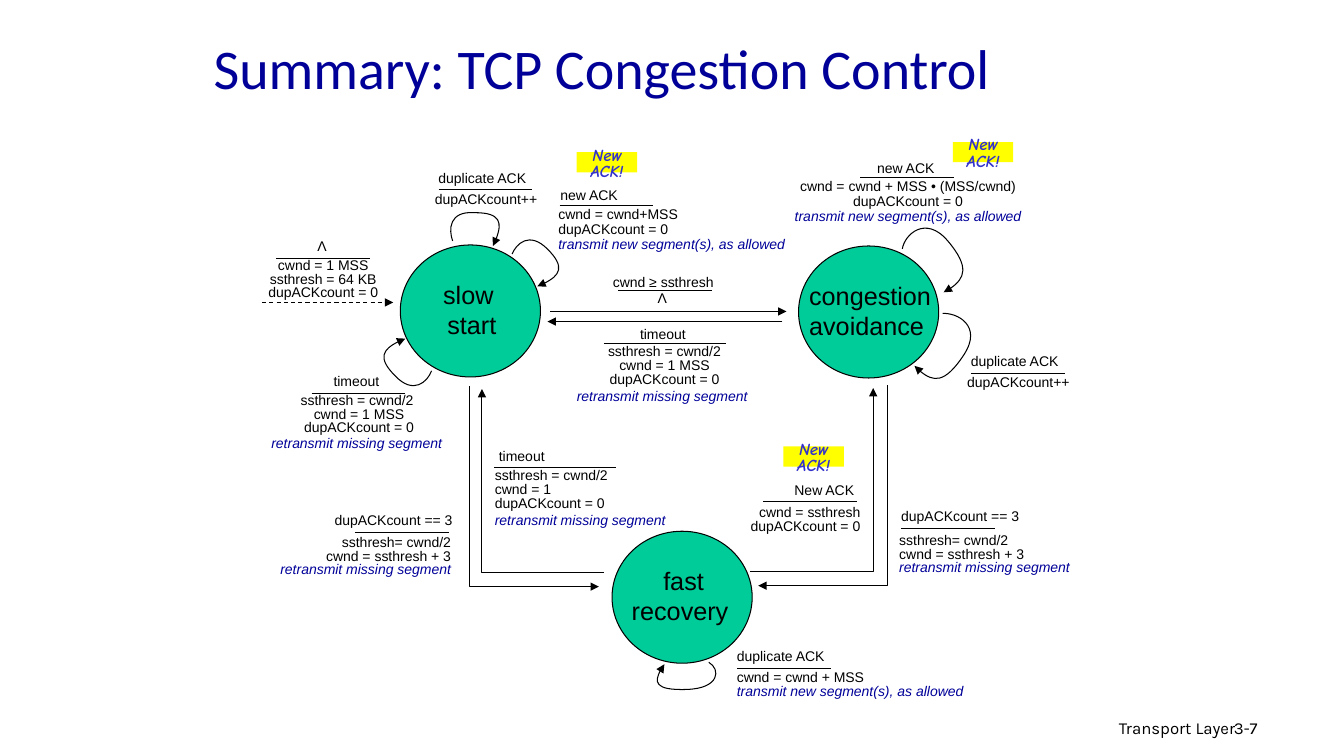
from dataclasses import dataclass

from lxml import etree
from pptx import Presentation
from pptx.dml.color import RGBColor
from pptx.enum.dml import MSO_LINE
from pptx.enum.shapes import MSO_CONNECTOR, MSO_SHAPE
from pptx.enum.text import MSO_ANCHOR, MSO_AUTO_SIZE, PP_ALIGN
from pptx.oxml.ns import qn
from pptx.util import Inches, Pt

BLACK, NAVY, BLUE = "000000", "000099", "3333CC"
GREEN, YELLOW = "00CC99", "FFFF00"
LEFT, CENTER, RIGHT = PP_ALIGN.LEFT, PP_ALIGN.CENTER, PP_ALIGN.RIGHT
Point = tuple[float, float]


@dataclass
class Label:
    text: str
    left: float
    top: float
    width: float
    height: float = 0.27
    align: PP_ALIGN = LEFT
    spacing: float = 1.0


@dataclass
class Rule:
    left: float
    top: float
    width: float = 0.93


@dataclass
class Arrow:
    points: list[Point]
    curved: bool = False


@dataclass
class Block:
    text: str
    left: float
    top: float


TIMEOUT = "ssthresh = cwnd/2\ncwnd = 1 MSS\ndupACKcount = 0\nretransmit missing segment "
TO_RECOVERY = "ssthresh= cwnd/2\ncwnd = ssthresh + 3\nretransmit missing segment"
TRANSMIT = "dupACKcount = 0\ntransmit new segment(s), as allowed"

STATES = [
    Block("congestion\navoidance ", 7.92, 2.44),
    Block("fast\nrecovery ", 6.07, 5.27),
    Block("slow \nstart", 3.97, 2.43),
]
NEW_ACK_TAGS = [Block("New\nACK!", *at) for at in ((7.77, 4.43), (5.72, 1.51), (9.45, 1.41))]

LABELS = [
    # Slow start: entry and self loops
    Label("Λ", 3.05, 2.31, 0.3),
    Label("cwnd = 1 MSS\nssthresh = 64 KB\ndupACKcount = 0", 2.56, 2.53, 1.29, 0.5, CENTER, 0.8),
    Label("duplicate ACK", 4.25, 1.63, 1.08),
    Label("dupACKcount++", 4.21, 1.87, 1.22, 0.39, CENTER, 0.8),
    Label("new ACK", 5.46, 1.8, 0.78),
    Label("cwnd = cwnd+MSS\n" + TRANSMIT, 5.44, 2.01, 2.47, 0.72, LEFT, 0.9),
    Label("timeout", 3.21, 3.65, 0.7),
    Label(TIMEOUT.replace("/2", "/2 "), 2.59, 3.87, 1.94, 0.66, CENTER, 0.8),
    # Slow start and congestion avoidance
    Label("cwnd ≥ ssthresh", 5.98, 2.66, 1.2),
    Label("Λ", 6.42, 2.86, 0.3, 0.23, CENTER, 0.8),
    Label("timeout", 6.25, 3.18, 0.7),
    Label(TIMEOUT, 5.62, 3.37, 1.94, 0.7, CENTER, 0.85),
    # Congestion avoidance self loops
    Label("new ACK", 8.6, 1.53, 0.78),
    Label("cwnd = cwnd + MSS • (MSS/cwnd)\n" + TRANSMIT, 7.77, 1.73, 2.47, 0.72, CENTER, 0.9),
    Label("duplicate ACK", 9.53, 3.45, 1.08),
    Label("dupACKcount++", 9.49, 3.69, 1.22, 0.39, CENTER, 0.8),
    # Slow start and fast recovery
    Label("dupACKcount == 3", 3.22, 5.03, 1.37),
    Label(TO_RECOVERY, 2.68, 5.28, 1.89, 0.66, RIGHT, 0.8),
    Label("timeout", 4.85, 4.39, 0.7),
    Label(TIMEOUT.replace(" MSS", ""), 4.81, 4.6, 1.94, 0.7, LEFT, 0.85),
    # Congestion avoidance and fast recovery
    Label("dupACKcount == 3", 8.84, 4.99, 1.37),
    Label(TO_RECOVERY, 8.82, 5.26, 1.89, 0.66, LEFT, 0.8),
    Label("New ACK", 7.77, 4.73, 0.8, align=RIGHT),
    Label("cwnd = ssthresh\ndupACKcount = 0", 7.34, 4.98, 1.29, 0.66, RIGHT, 0.8),
    # Fast recovery self loop
    Label("duplicate ACK", 7.21, 6.37, 1.08),
    Label("cwnd = cwnd + MSS\ntransmit new segment(s), as allowed", 7.21, 6.61, 2.45, 0.55, LEFT, 0.85),
]

RULES = [
    Rule(2.74, 2.56), Rule(4.35, 1.88), Rule(5.55, 2.04), Rule(3.09, 3.9),
    Rule(6.13, 2.88), Rule(5.99, 3.41, 1.21),
    Rule(8.53, 1.76), Rule(9.63, 3.71), Rule(3.52, 5.28), Rule(4.9, 4.64, 1.21),
    Rule(8.94, 5.24), Rule(7.57, 4.98), Rule(7.31, 6.63),
]

ARROWS = [
    # Transitions to and from fast recovery
    Arrow([(4.66, 3.83), (4.66, 5.82), (5.94, 5.82)]),
    Arrow([(5.99, 5.68), (4.78, 5.68), (4.78, 3.86)]),
    Arrow([(8.8, 3.82), (8.8, 5.81), (7.52, 5.81)]),
    Arrow([(7.44, 5.67), (8.66, 5.67), (8.66, 3.85)]),
    # Self loops: a start, then two control points and an end per curve
    Arrow([(4.49, 2.39), (4.45, 2.28), (4.45, 2.09), (4.71, 2.11),
           (4.97, 2.11), (4.99, 2.24), (4.89, 2.44)], True),
    Arrow([(5.08, 2.52), (5.12, 2.42), (5.25, 2.29), (5.43, 2.47),
           (5.61, 2.65), (5.54, 2.76), (5.33, 2.84)], True),
    Arrow([(4.28, 3.68), (4.24, 3.79), (4.1, 3.92), (3.92, 3.73),
           (3.74, 3.55), (3.81, 3.44), (4.02, 3.36)], True),
    Arrow([(8.95, 2.47), (8.97, 2.33), (9.18, 2.13), (9.4, 2.39),
           (9.62, 2.65), (9.56, 2.8), (9.36, 2.9)], True),
    Arrow([(9.35, 3.11), (9.49, 3.1), (9.75, 3.23), (9.56, 3.52),
           (9.37, 3.81), (9.22, 3.79), (9.07, 3.63)], True),
    Arrow([(7.03, 6.57), (7.15, 6.64), (7.14, 6.83), (6.81, 6.84),
           (6.48, 6.85), (6.49, 6.72), (6.59, 6.59)], True),
]


def color(value: str) -> RGBColor:
    return RGBColor.from_string(value)


def style_font(font, name: str, size: float, value: str) -> None:
    font.name, font.size = name, Pt(size)
    font.color.rgb = color(value)


def style_line(shape, arrowhead: bool = False) -> None:
    shape.line.color.rgb = color(BLACK)
    shape.line.width = Pt(0.75)
    if arrowhead:
        etree.SubElement(shape.line._get_or_add_ln(), qn("a:tailEnd"), type="triangle")


def add_text(slide, label: Label, name: str = "Arial", size: float = 10, value: str = BLACK):
    box = slide.shapes.add_textbox(*map(Inches, (label.left, label.top, label.width, label.height)))
    text_frame = box.text_frame
    text_frame.text = label.text
    text_frame.word_wrap = False
    text_frame.auto_size = MSO_AUTO_SIZE.SHAPE_TO_FIT_TEXT
    for paragraph in text_frame.paragraphs:
        paragraph.alignment, paragraph.line_spacing = label.align, label.spacing
        run = paragraph.runs[0]
        style_font(run.font, name, size, value)
        if "transmit" in run.text:
            run.font.italic = True
            run.font.color.rgb = color(NAVY)
            if run.text.endswith(" "):
                run.text = run.text.rstrip()
                space = paragraph.add_run()
                space.text = " "
                style_font(space.font, name, 12, BLACK)
    return box


def add_block(slide, kind: MSO_SHAPE, block: Block, width: float, height: float, fill: str):
    shape = slide.shapes.add_shape(kind, *map(Inches, (block.left, block.top, width, height)))
    shape.shadow.inherit = False
    shape.fill.solid()
    shape.fill.fore_color.rgb = color(fill)
    text_frame = shape.text_frame
    text_frame.text = block.text
    text_frame.word_wrap = False
    text_frame.vertical_anchor = MSO_ANCHOR.MIDDLE
    text_frame.margin_left = text_frame.margin_right = 0
    text_frame.margin_top = text_frame.margin_bottom = 0
    for paragraph in text_frame.paragraphs:
        paragraph.alignment = CENTER
    return shape


def add_line(slide, start: Point, end: Point, arrowhead: bool = False):
    line = slide.shapes.add_connector(MSO_CONNECTOR.STRAIGHT, *map(Inches, (*start, *end)))
    style_line(line, arrowhead)
    etree.SubElement(line._element.spPr, qn("a:effectLst"))
    return line


def add_arrow(slide, arrow: Arrow) -> None:
    points = [(Inches(x), Inches(y)) for x, y in arrow.points]
    builder = slide.shapes.build_freeform(*points[0])
    builder.add_line_segments(points[1:], close=False)
    shape = builder.convert_to_shape()
    shape.shadow.inherit = False
    shape.fill.background()
    style_line(shape, True)
    if arrow.curved:
        segments = list(shape._element.iter(qn("a:lnTo")))
        for first, second, third in zip(*[iter(segments)] * 3):
            first.tag = qn("a:cubicBezTo")
            for segment in (second, third):
                first.append(segment[0])
                segment.getparent().remove(segment)


def main() -> None:
    presentation = Presentation()
    presentation.slide_width, presentation.slide_height = Inches(13.33), Inches(7.5)
    slide = presentation.slides.add_slide(presentation.slide_layouts[6])

    # Title and footer
    title = add_text(slide, Label("Summary: TCP Congestion Control", 2.02, 0.2, 8.5, 0.94), "Calibri", 40, NAVY)
    title.text_frame.auto_size = MSO_AUTO_SIZE.NONE
    title.text_frame.word_wrap = True
    title.text_frame.vertical_anchor = MSO_ANCHOR.MIDDLE
    for footer in (Label("Transport Layer", 8.13, 7.07, 4.22, 0.3, RIGHT), Label("3-7", 12.14, 7.07, 0.99, 0.3)):
        add_text(slide, footer, "Karla", 12).text_frame.word_wrap = True

    # States
    for state in STATES:
        circle = add_block(slide, MSO_SHAPE.OVAL, state, 1.39, 1.31, GREEN)
        style_line(circle)
        circle.text_frame.margin_left = circle.text_frame.margin_bottom = Inches(0.03)
        for paragraph in circle.text_frame.paragraphs:
            style_font(paragraph.runs[0].font, "Arial", 18, BLACK)

    # Transitions
    add_line(slide, (2.6, 3), (3.9, 3), True).line.dash_style = MSO_LINE.DASH
    add_line(slide, (5.46, 3.09), (7.8, 3.09), True)
    add_line(slide, (7.76, 3.19), (5.43, 3.19), True)
    for arrow in ARROWS:
        add_arrow(slide, arrow)

    # Events above the rules, actions below
    for rule in RULES:
        add_line(slide, (rule.left, rule.top), (rule.left + rule.width, rule.top))
    for label in LABELS:
        add_text(slide, label)

    # Highlighted tags
    for tag in NEW_ACK_TAGS:
        box = add_block(slide, MSO_SHAPE.RECTANGLE, tag, 0.6, 0.2, YELLOW)
        box.line.fill.background()
        box.text_frame.margin_top = Inches(0.04)
        for paragraph in box.text_frame.paragraphs:
            paragraph.line_spacing = 0.8
            font = paragraph.runs[0].font
            style_font(font, "Comic Neue", 12, BLUE)
            font.bold = font.italic = True

    presentation.save("out.pptx")


if __name__ == "__main__":
    main()
